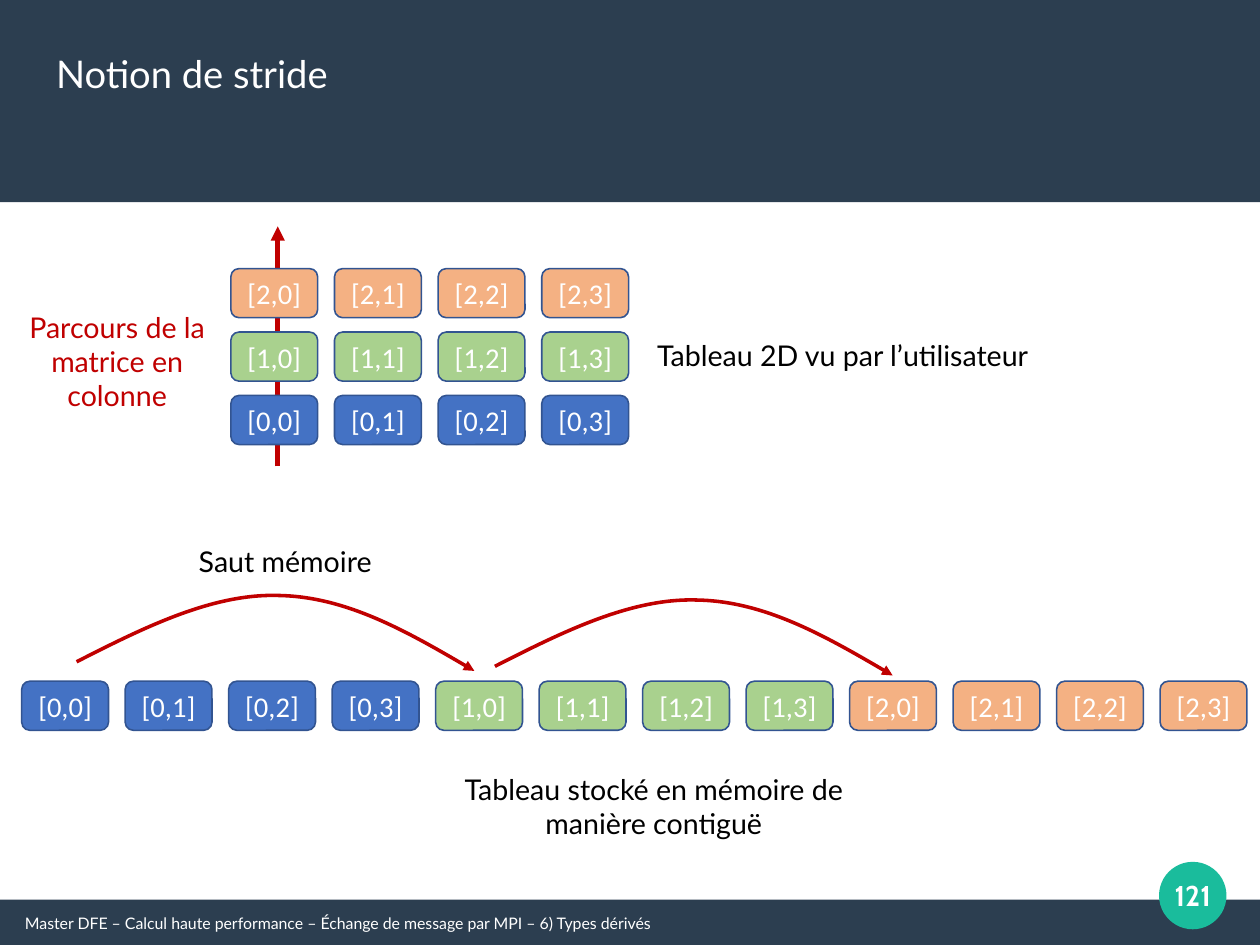
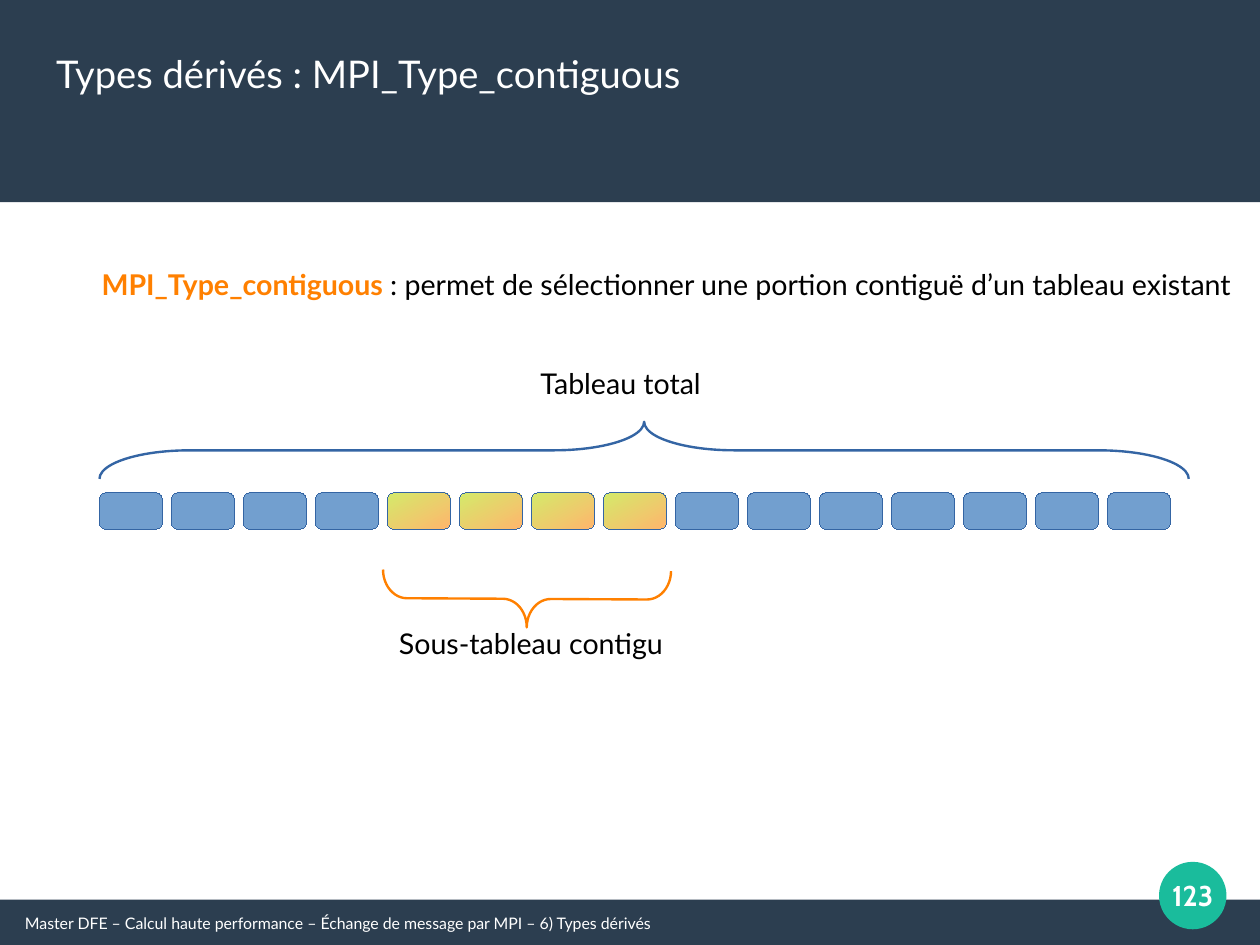
from lxml import etree
from pptx import Presentation
from pptx.dml.color import RGBColor
from pptx.enum.shapes import MSO_CONNECTOR, MSO_SHAPE
from pptx.enum.text import MSO_ANCHOR, MSO_AUTO_SIZE, PP_ALIGN
from pptx.oxml.ns import qn
from pptx.util import Cm, Inches, Pt

# Colours
NAVY = RGBColor(0x2C, 0x3E, 0x50)
TEAL = RGBColor(0x1A, 0xBC, 0x9C)
WHITE = RGBColor(0xFF, 0xFF, 0xFF)
BLACK = RGBColor(0x00, 0x00, 0x00)
RED = RGBColor(0xC0, 0x00, 0x00)
ORANGE = RGBColor(0xFF, 0x80, 0x00)
CELL_EDGE = RGBColor(0x32, 0x54, 0x91)
SKY = RGBColor(0x72, 0x9F, 0xCF)
BLUE = RGBColor(0x34, 0x65, 0xA4)
LIME = RGBColor(0xD4, 0xEA, 0x6B)
PEACH = RGBColor(0xFF, 0xB6, 0x6C)
ROW_COLOURS = [RGBColor(0x44, 0x72, 0xC4), RGBColor(0xA9, 0xD1, 0x8E),
               RGBColor(0xF4, 0xB1, 0x83)]

# Enum members
LEFT, CENTER = PP_ALIGN.LEFT, PP_ALIGN.CENTER
TOP, MIDDLE = MSO_ANCHOR.TOP, MSO_ANCHOR.MIDDLE
NO_AUTOSIZE = MSO_AUTO_SIZE.NONE
RECTANGLE, OVAL = MSO_SHAPE.RECTANGLE, MSO_SHAPE.OVAL
ROUNDED = MSO_SHAPE.ROUNDED_RECTANGLE
LEFT_BRACE, RIGHT_BRACE = MSO_SHAPE.LEFT_BRACE, MSO_SHAPE.RIGHT_BRACE
STRAIGHT = MSO_CONNECTOR.STRAIGHT

# Text styles
TITLE = {"name": "Lato", "size": Pt(24), "color": WHITE, "bold": False}
BODY = {"name": "Lato", "size": Pt(18), "color": BLACK, "bold": False}
FOOTER = {**BODY, "size": Pt(10), "color": WHITE}
BADGE = {"name": "Cabin", "size": Pt(18), "color": WHITE, "bold": True}
CELL = {**BODY, "name": "Calibri", "color": WHITE}

# The page is a metric 28 by 21 cm
PAGE_WIDTH, PAGE_HEIGHT = Cm(28), Cm(21)
BANDS = [(0, 0, PAGE_WIDTH.inches, 1.77),
         (0, 7.87, PAGE_WIDTH.inches, PAGE_HEIGHT.inches - 7.87)]
FOOTER_TEXT = ("Master DFE – Calcul haute performance – "
               "Échange de message par MPI – 6) Types dérivés")
ROWS, COLUMNS = 3, 4


def inches(box):
    return [Inches(value) for value in box]


def write(shape, spans, align=LEFT, anchor=TOP, side=0.1):
    """Fill a shape with one paragraph of (text, style) spans."""
    frame = shape.text_frame
    settings = {"word_wrap": True, "auto_size": NO_AUTOSIZE,
                "vertical_anchor": anchor,
                "margin_left": Inches(side), "margin_right": Inches(side),
                "margin_top": Inches(0.05), "margin_bottom": Inches(0.05)}
    for key, value in settings.items():
        setattr(frame, key, value)
    para = frame.paragraphs[0]
    para.alignment = align
    for text, style in spans:
        span = para.add_run()
        span.text = text
        for key, value in style.items():
            if key == "color":
                span.font.color.rgb = value
            else:
                setattr(span.font, key, value)


def add_label(page, box, text, align=LEFT, style=BODY):
    write(page.shapes.add_textbox(*inches(box)), [(text, style)], align)


def add_solid(page, kind, box, fill, edge=None, weight=1):
    shape = page.shapes.add_shape(kind, *inches(box))
    shape.shadow.inherit = False
    if fill is None:
        shape.fill.background()
    else:
        shape.fill.solid()
        shape.fill.fore_color.rgb = fill
    if edge is None:
        shape.line.fill.background()
    else:
        shape.line.color.rgb = edge
        # Written directly, as a zero width (hairline) is otherwise dropped
        shape.line._get_or_add_ln().set("w", str(int(Pt(weight))))
    return shape


def add_arrowhead(shape):
    etree.SubElement(shape.line._get_or_add_ln(), qn("a:tailEnd"), type="triangle")


def spread(start, length, count, size):
    """Starts of equal items that fill a length with equal gaps."""
    step = (length - size) / (count - 1)
    return [start + index * step for index in range(count)]


# Shared frame
def add_bands(layout, page):
    """Draw the two dark bands and move them behind the layout's parts."""
    for index, box in enumerate(BANDS):
        element = add_solid(page, RECTANGLE, box, NAVY)._element
        element.nvSpPr.cNvPr.set("id", str(100 + index))
        layout.shapes._spTree.insert(2 + index, element)


def add_frame(page, title, number):
    holder = page.shapes.title
    holder.left, holder.top, holder.width, holder.height = inches((0.39, 0.39, 9.45, 0.55))
    write(holder, [(title, TITLE)])
    add_label(page, (0.12, 7.94, 9.45, 0.29), FOOTER_TEXT, style=FOOTER)
    badge = add_solid(page, OVAL, (10.14, 7.54, 0.59, 0.59), TEAL)
    write(badge, [(number, BADGE)], CENTER, MIDDLE, side=0)


# Stride slide
def add_index_cell(page, left, top, row, column):
    cell = add_solid(page, ROUNDED, (left, top, 0.76, 0.43), ROW_COLOURS[row], CELL_EDGE)
    write(cell, [(f"[{row},{column}]", CELL)], CENTER, MIDDLE, side=0)


def add_matrix(page, box):
    """Two-dimensional view, first row at the bottom, with its column arrow."""
    left, top, width, height = box
    arrow_x = left + 0.41
    arrow = page.shapes.add_connector(
        STRAIGHT, *inches((arrow_x, top + height + 0.19, arrow_x, top - 0.37)))
    arrow.line.color.rgb = RED
    arrow.line.width = Pt(3)
    add_arrowhead(arrow)
    etree.SubElement(arrow._element.spPr, qn("a:effectLst"))
    tops = spread(top, height, ROWS, 0.43)[::-1]
    for row, cell_top in enumerate(tops):
        for column, cell_left in enumerate(spread(left, width, COLUMNS, 0.76)):
            add_index_cell(page, cell_left, cell_top, row, column)


def add_memory(page, box):
    """Linear view of the same cells."""
    left, top, width, _ = box
    for index, cell_left in enumerate(spread(left, width, ROWS * COLUMNS, 0.76)):
        add_index_cell(page, cell_left, top, *divmod(index, COLUMNS))


def add_jump(page, left, top):
    """Curved arrow of two Bézier segments, from its start point."""
    offsets = [(0.59, -0.3), (1.19, -0.6), (1.77, -0.58),
               (2.35, -0.57), (2.92, -0.25), (3.48, 0.08)]
    points = [(Inches(left + x), Inches(top + y)) for x, y in offsets]
    builder = page.shapes.build_freeform(Inches(left), Inches(top))
    builder.add_line_segments(points, close=False)
    jump = builder.convert_to_shape()
    outline = jump._element.find(".//" + qn("a:path"))
    lines = outline.findall(qn("a:lnTo"))
    for first in range(0, len(lines), 3):
        curve = etree.SubElement(outline, qn("a:cubicBezTo"))
        for line in lines[first:first + 3]:
            curve.append(line[0])
            outline.remove(line)
    jump.shadow.inherit = False
    jump.fill.background()
    jump.line.color.rgb = RED
    jump.line.width = Pt(2.25)
    add_arrowhead(jump)


def build_stride(page):
    add_frame(page, "Notion de stride", "121")
    add_matrix(page, (2.02, 2.35, 3.48, 1.54))
    add_label(page, (0.02, 2.66, 2.01, 1.01), "Parcours de la matrice en colonne",
              CENTER, {**BODY, "color": RED})
    add_label(page, (5.65, 2.91, 3.82, 0.4), "Tableau 2D vu par l’utilisateur")
    add_label(page, (1.64, 4.71, 2.19, 0.4), "Saut mémoire")
    add_jump(page, 0.67, 5.79)
    add_jump(page, 4.33, 5.83)
    add_memory(page, (0.19, 5.96, 10.72, 0.43))
    add_label(page, (3.81, 6.7, 3.82, 0.71),
              "Tableau stocké en mémoire de manière contiguë", CENTER)


# Contiguous type slide
def add_array(page, box, count, selected):
    left, top, width, height = box
    for index, cell_left in enumerate(spread(left, width, count, 0.55)):
        cell = add_solid(page, ROUNDED, (cell_left, top, 0.55, height), SKY, BLUE, 0)
        if index in selected:
            cell.fill.gradient()
            cell.fill.gradient_angle = 300
            for stop, colour in zip(cell.fill.gradient_stops, (LIME, PEACH)):
                stop.color.rgb = colour


def add_brace(page, kind, box, colour, curl, angle):
    """Brace lying along the given box: an upright shape turned about its centre."""
    left, top, width, height = box
    upright = (left + (width - height) / 2, top + (height - width) / 2, height, width)
    brace = add_solid(page, kind, upright, None, colour, 1.5)
    brace.adjustments[0] = curl
    brace.rotation = angle


def build_contiguous(page):
    add_frame(page, "Types dérivés : MPI_Type_contiguous", "123")
    definition = page.shapes.add_textbox(*inches((0.79, 2.29, 10.2, 0.45)))
    write(definition, [
        ("MPI_Type_contiguous ", {**BODY, "color": ORANGE, "bold": True}),
        (": permet de sélectionner une portion contiguë d’un tableau existant", BODY)])
    add_label(page, (4.63, 3.15, 2.12, 0.58), "Tableau total")
    add_brace(page, LEFT_BRACE, (0.87, 3.69, 9.53, 0.5), BLUE, 1.58, 90)
    add_array(page, (0.87, 4.31, 9.37, 0.32), 15, range(4, 8))
    add_brace(page, RIGHT_BRACE, (3.35, 4.99, 2.52, 0.5), ORANGE, 0.42, 90.3)
    add_label(page, (3.07, 5.43, 3.15, 0.78), "Sous-tableau contigu", CENTER)


def main():
    deck = Presentation()
    deck.slide_width, deck.slide_height = PAGE_WIDTH, PAGE_HEIGHT
    layout = deck.slide_layouts[5]
    pages = [deck.slides.add_slide(layout) for _ in range(2)]
    add_bands(layout, pages[0])
    build_stride(pages[0])
    build_contiguous(pages[1])
    deck.save("out.pptx")


if __name__ == "__main__":
    main()
